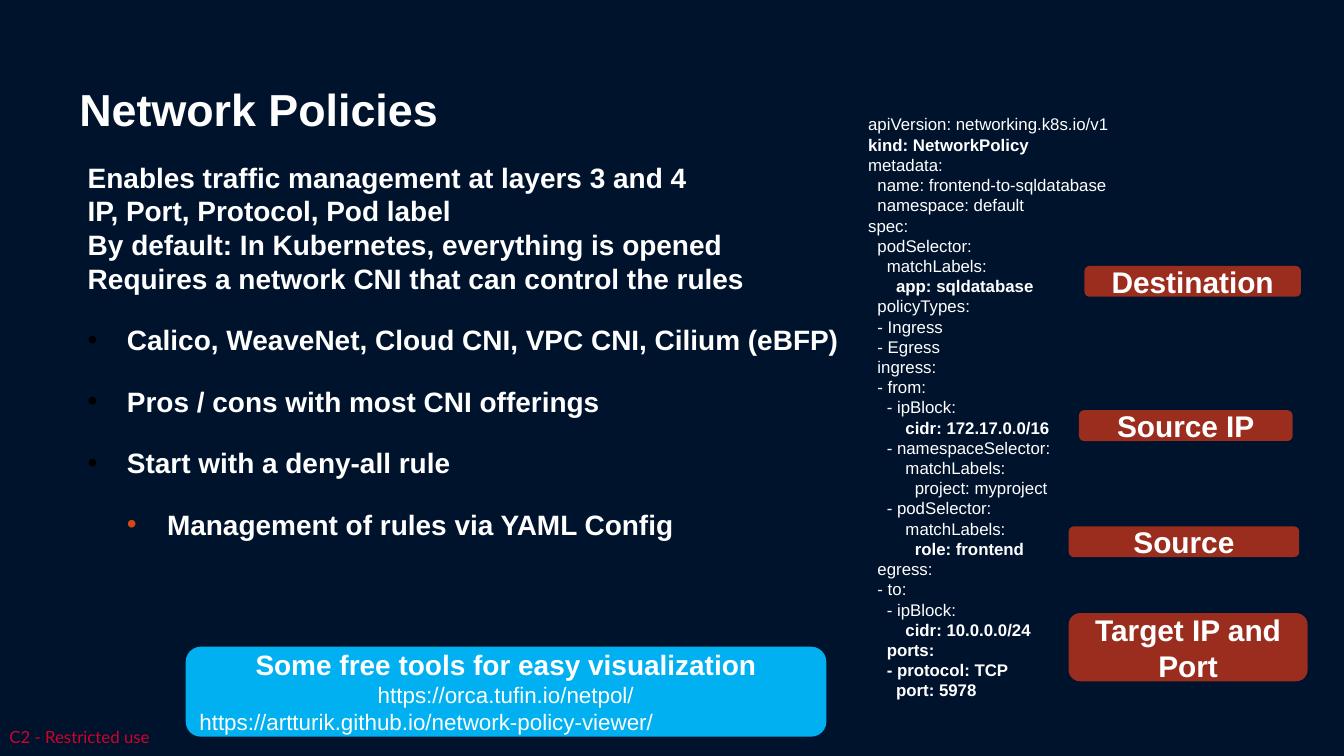
"""Build the Network Policies slide."""
from lxml.etree import SubElement
from pptx import Presentation
from pptx.dml.color import RGBColor
from pptx.enum.shapes import MSO_SHAPE
from pptx.enum.text import MSO_ANCHOR, PP_ALIGN
from pptx.oxml.ns import qn
from pptx.util import Pt

HUES = {
    "night": "00132D",
    "white": "FFFFFF",
    "black": "000000",
    "orange": "D34817",
    "rust": "9B2D1F",
    "sky": "00B0F0",
    "red": "CF022B",
}

FACTS = [
    "Enables traffic management at layers 3 and 4",
    "IP, Port, Protocol, Pod label",
    "By default: In Kubernetes, everything is opened",
    "Requires a network CNI that can control the rules",
]

POINTS = [
    ("Calico, WeaveNet, Cloud CNI, VPC CNI, Cilium (eBFP)", 0),
    ("Pros / cons with most CNI offerings", 0),
    ("Start with a deny-all rule", 0),
    ("Management of rules via YAML Config", 1),
]

LEVELS = [(21, 21, "black"), (42.5, 21.5, "orange")]

YAML = """apiVersion: networking.k8s.io/v1
kind: NetworkPolicy
metadata:
  name: frontend-to-sqldatabase
  namespace: default
spec:
  podSelector:
    matchLabels:
      app: sqldatabase
  policyTypes:
  - Ingress
  - Egress
  ingress:
  - from:
    - ipBlock:
        cidr: 172.17.0.0/16
    - namespaceSelector:
        matchLabels:
          project: myproject
    - podSelector:
        matchLabels:
          role: frontend
  egress:
  - to:
    - ipBlock:
        cidr: 10.0.0.0/24
    ports:
    - protocol: TCP
      port: 5978"""

STRONG = ("kind:", "app:", "cidr:", "role:", "ports:", "- protocol:", "port:")

TAGS = [
    ("Destination", (581, 142.5, 116, 16.5)),
    ("Source IP", (578, 219.8, 114.5, 16.5)),
    ("Source", (572.5, 282, 123.5, 16.5)),
    ("Target IP and Port", (572.5, 328.5, 128, 36.5)),
]


def color(name):
    return RGBColor.from_string(HUES[name])


def add_run(para, text, size, bold=False, hue="white", face="Arial"):
    run = para.add_run()
    run.text = text
    font = run.font
    font.size, font.bold, font.name = Pt(size), bold, face
    font.color.rgb = color(hue)


def set_frame(frame, side, edge, wrap=True):
    frame.word_wrap = wrap
    frame.margin_left = frame.margin_right = Pt(side)
    frame.margin_top = frame.margin_bottom = Pt(edge)
    return frame


def add_text(slide, place, side=0, edge=0, wrap=True):
    box = slide.shapes.add_textbox(*map(Pt, place))
    return set_frame(box.text_frame, side, edge, wrap)


def add_card(slide, place, hue):
    card = slide.shapes.add_shape(MSO_SHAPE.ROUNDED_RECTANGLE, *map(Pt, place))
    card.shadow.inherit = False
    card.fill.solid()
    card.fill.fore_color.rgb = color(hue)
    card.line.fill.background()
    frame = set_frame(card.text_frame, 5, 2.8)
    frame.vertical_anchor = MSO_ANCHOR.MIDDLE
    frame.paragraphs[0].alignment = PP_ALIGN.CENTER
    return frame


def add_bullet(para, level):
    left, hang, hue = LEVELS[level]
    para.level = level
    props = para._p.get_or_add_pPr()
    props.set("marL", str(Pt(left)))
    props.set("indent", str(-Pt(hang)))
    tint = SubElement(props, qn("a:buClr"))
    SubElement(tint, qn("a:srgbClr"), val=HUES[hue])
    SubElement(props, qn("a:buFont"), typeface="Arial")
    SubElement(props, qn("a:buChar"), char="•")
    para.line_spacing = 1.5
    para.space_before = Pt(6)


def add_body(slide):
    frame = add_text(slide, (42.5, 81.4, 635, 268), 4.5, 4.5)
    para = frame.paragraphs[0]
    for i, fact in enumerate(FACTS):
        if i:
            para = frame.add_paragraph()
        add_run(para, fact, 15, True)
    for text, level in POINTS:
        para = frame.add_paragraph()
        add_bullet(para, level)
        add_run(para, text, 15, True)


def add_code(slide):
    frame = add_text(slide, (458, 57.6, 189.5, 323.3), 7.2, 3.6)
    para = frame.paragraphs[0]
    for i, line in enumerate(YAML.splitlines()):
        if i:
            para = frame.add_paragraph()
        add_run(para, line, 9, line.strip().startswith(STRONG))


def add_tools(slide):
    frame = add_card(slide, (99.5, 346.5, 343.2, 48.2), "sky")
    para = frame.paragraphs[0]
    add_run(para, "Some free tools for easy visualization", 15, True)
    para.add_line_break()
    add_run(para, "https://orca.tufin.io/netpol/", 12)
    para = frame.add_paragraph()
    para.alignment = PP_ALIGN.LEFT
    add_run(para, "https://artturik.github.io/network-policy-viewer/", 12)


def main():
    deck = Presentation()
    deck.slide_width, deck.slide_height = Pt(720), Pt(405)
    slide = deck.slides.add_slide(deck.slide_layouts[6])
    slide.background.fill.solid()
    slide.background.fill.fore_color.rgb = color("night")

    foot = add_text(slide, (5, 389.5, 81.5, 11), wrap=False)
    add_run(foot.paragraphs[0], "C2 - Restricted use", 9, hue="red", face="Lato")
    title = add_text(slide, (42.5, 44, 635, 37.4)).paragraphs[0]
    title.line_spacing = Pt(28.5)
    add_run(title, "Network Policies", 24, True)
    add_body(slide)
    add_code(slide)
    for text, place in TAGS:
        add_run(add_card(slide, place, "rust").paragraphs[0], text, 16, True)
    add_tools(slide)
    deck.save("out.pptx")


if __name__ == "__main__":
    main()
